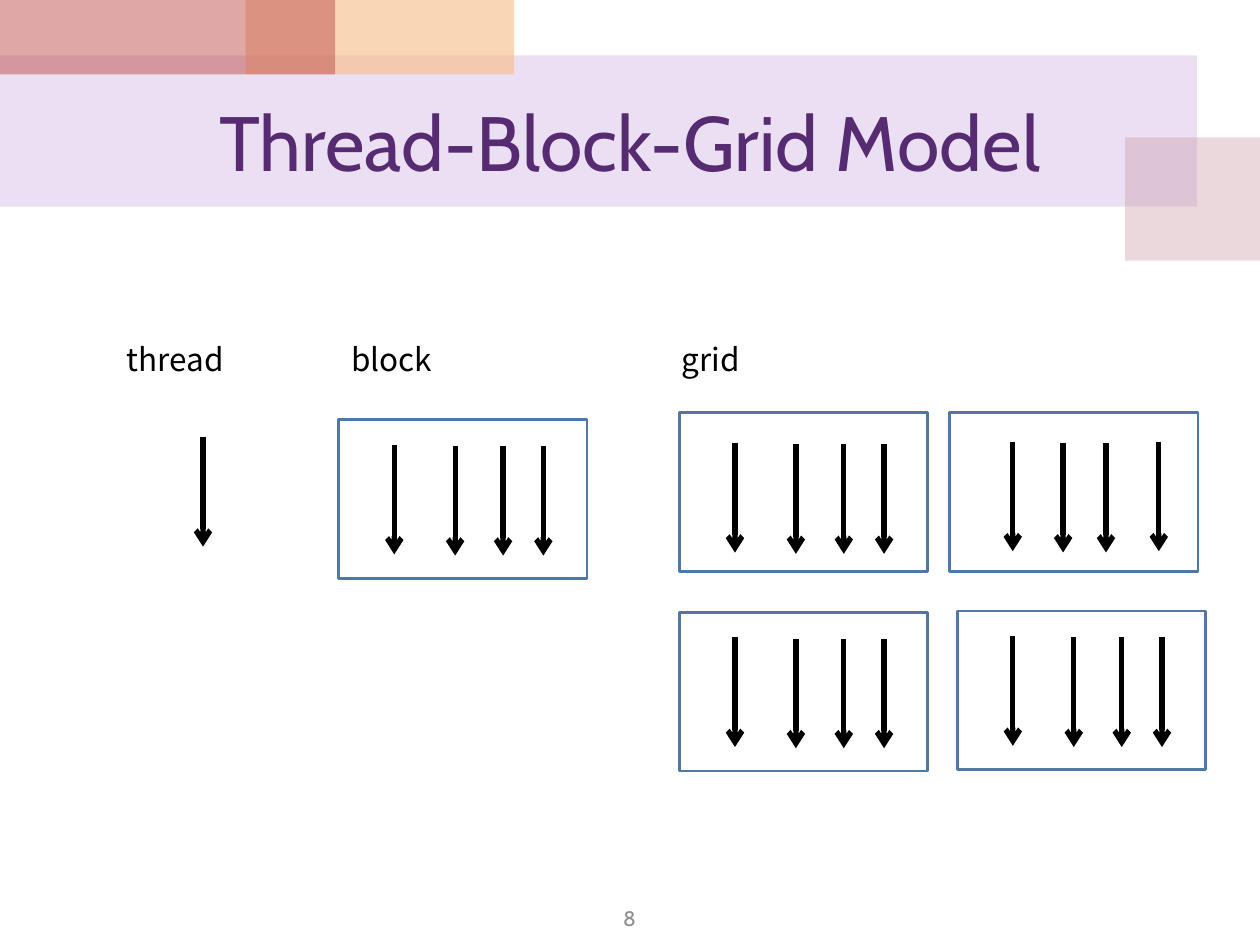
from dataclasses import dataclass

from lxml import etree
from pptx import Presentation
from pptx import util as u
from pptx.dml.color import RGBColor
from pptx.enum import shapes, text
from pptx.oxml.ns import qn


@dataclass(frozen=True)
class Theme:
    title_font: str = "Cabin"
    label_font: str = "Noto Sans CJK KR"
    title_size: int = 44
    label_size: int = 18
    number_size: int = 12
    title: str = "562B71"
    number: str = "8C8C8C"
    ink: str = "000000"
    block: str = "4F78A5"
    band: str = "BF98D8"
    rose: str = "CC9EAC"
    orange: str = "F5BC83"
    red: str = "C0504D"
    block_line: float = 1.5
    thread_line: float = 3


BLOCK_W, BLOCK_H = 142, 90.7
THREAD_LENGTH = 62.6
# Thread positions inside a block: (x, y) from its top left corner
EVEN_THREADS = [(31.8, 14.4), (66.6, 15.1), (94, 15.1), (117, 15.1)]
LOOSE_THREADS = [(36, 16.6), (64.8, 17.3), (89.3, 17.3), (119.5, 16.6)]


class Deck:
    def __init__(self, theme):
        self.theme = theme
        self.prs = Presentation()
        self.prs.slide_width, self.prs.slide_height = u.Pt(720), u.Pt(540)
        self.s = self.prs.slides.add_slide(self.prs.slide_layouts[6])

    def rect(self, x, y, w, h):
        sp = self.s.shapes.add_shape(
            shapes.MSO_SHAPE.RECTANGLE, u.Pt(x), u.Pt(y), u.Pt(w), u.Pt(h))
        sp.shadow.inherit = False
        return sp

    def tint(self, x, y, w, h, color, opacity):
        """Borderless rectangle; opacity is in percent."""
        sp = self.rect(x, y, w, h)
        sp.line.fill.background()
        sp.fill.solid()
        sp.fill.fore_color.rgb = RGBColor.from_string(color)
        clr = sp.fill._xPr.find(qn("a:solidFill"))[0]
        etree.SubElement(clr, qn("a:alpha"), val=str(opacity * 1000))

    def text(self, x, y, w, h, words, size, font, color,
             align=text.PP_ALIGN.LEFT, anchor=text.MSO_ANCHOR.TOP):
        sp = self.s.shapes.add_textbox(u.Pt(x), u.Pt(y), u.Pt(w), u.Pt(h))
        tf = sp.text_frame
        tf.word_wrap = True
        tf.vertical_anchor = anchor
        p = tf.paragraphs[0]
        p.text = words
        p.alignment = align
        p.font.size = u.Pt(size)
        p.font.name = font
        p.font.color.rgb = RGBColor.from_string(color)

    def centered(self, x, y, w, h, words, size, color):
        self.text(x, y, w, h, words, size, self.theme.title_font, color,
                  text.PP_ALIGN.CENTER, text.MSO_ANCHOR.MIDDLE)

    def label(self, x, w, words):
        self.text(x, 190.8, w, 29, words, self.theme.label_size,
                  self.theme.label_font, self.theme.ink)

    def thread(self, x, y):
        """Arrow pointing straight down from (x, y)."""
        c = self.s.shapes.add_connector(
            shapes.MSO_CONNECTOR.STRAIGHT,
            u.Pt(x), u.Pt(y), u.Pt(x), u.Pt(y + THREAD_LENGTH))
        c.line.color.rgb = RGBColor.from_string(self.theme.ink)
        c.line.width = u.Pt(self.theme.thread_line)
        etree.SubElement(c.line._get_or_add_ln(), qn("a:tailEnd"), type="arrow")
        etree.SubElement(c._element.spPr, qn("a:effectLst"))

    def block(self, x, y, threads=EVEN_THREADS, drop=0):
        """Box of threads; drop moves the threads down inside it."""
        sp = self.rect(x, y, BLOCK_W, BLOCK_H)
        sp.fill.background()
        sp.line.color.rgb = RGBColor.from_string(self.theme.block)
        sp.line.width = u.Pt(self.theme.block_line)
        for dx, dy in threads:
            self.thread(x + dx, y + dy + drop)


def main():
    theme = Theme()
    deck = Deck(theme)

    deck.tint(0, 31.7, 684, 86.4, theme.band, 30)
    deck.tint(643, 78.5, 77, 70.5, theme.rose, 40)
    deck.tint(140.4, 0, 153.4, 42.5, theme.orange, 60)
    deck.tint(0, 0, 191.5, 42.5, theme.red, 50)
    deck.centered(36, 42.5, 648, 75.6, "Thread-Block-Grid Model",
                  theme.title_size, theme.title)
    deck.centered(275.8, 514.8, 167.8, 19.4, "8",
                  theme.number_size, theme.number)

    deck.label(65.5, 108, "thread")
    deck.thread(116, 249.8)

    deck.label(193.7, 142, "block")
    deck.block(193.5, 239.8)

    deck.label(382.3, 266.4, "grid")
    deck.block(388.2, 235.8, drop=3)
    deck.block(542.7, 235.8, LOOSE_THREADS)
    deck.block(388.2, 349.9)
    deck.block(547, 349.2)

    deck.prs.save("out.pptx")


if __name__ == "__main__":
    main()
